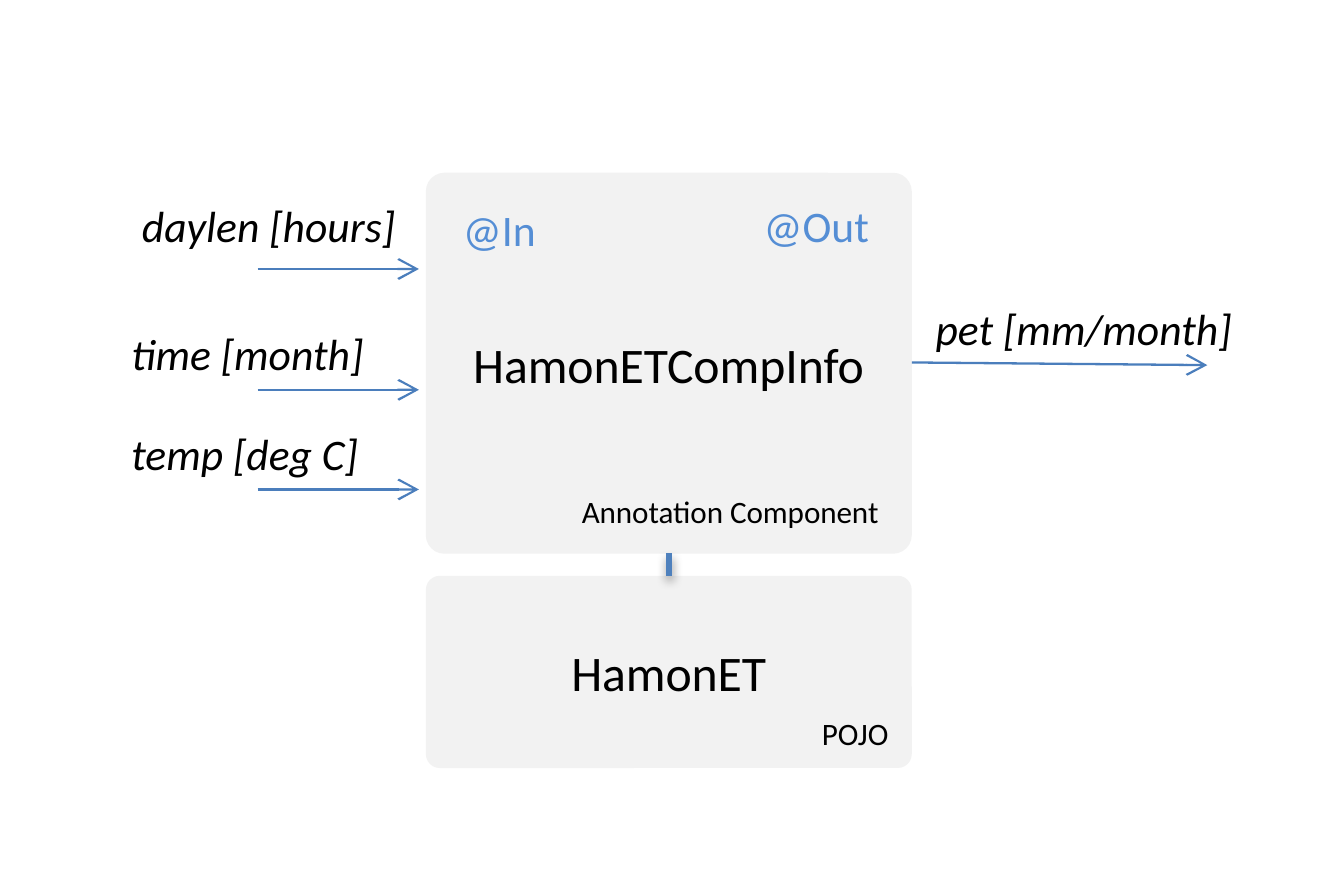
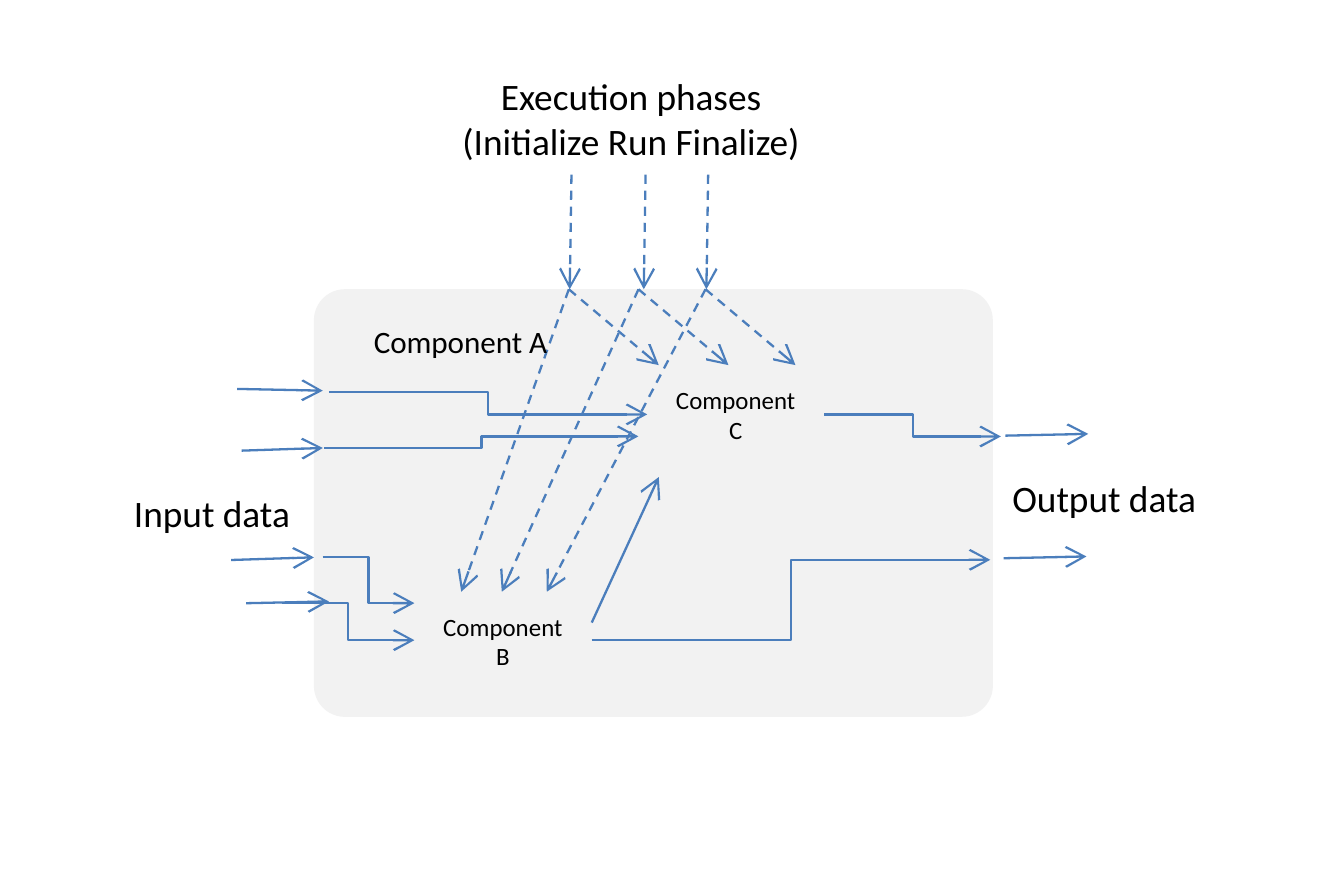
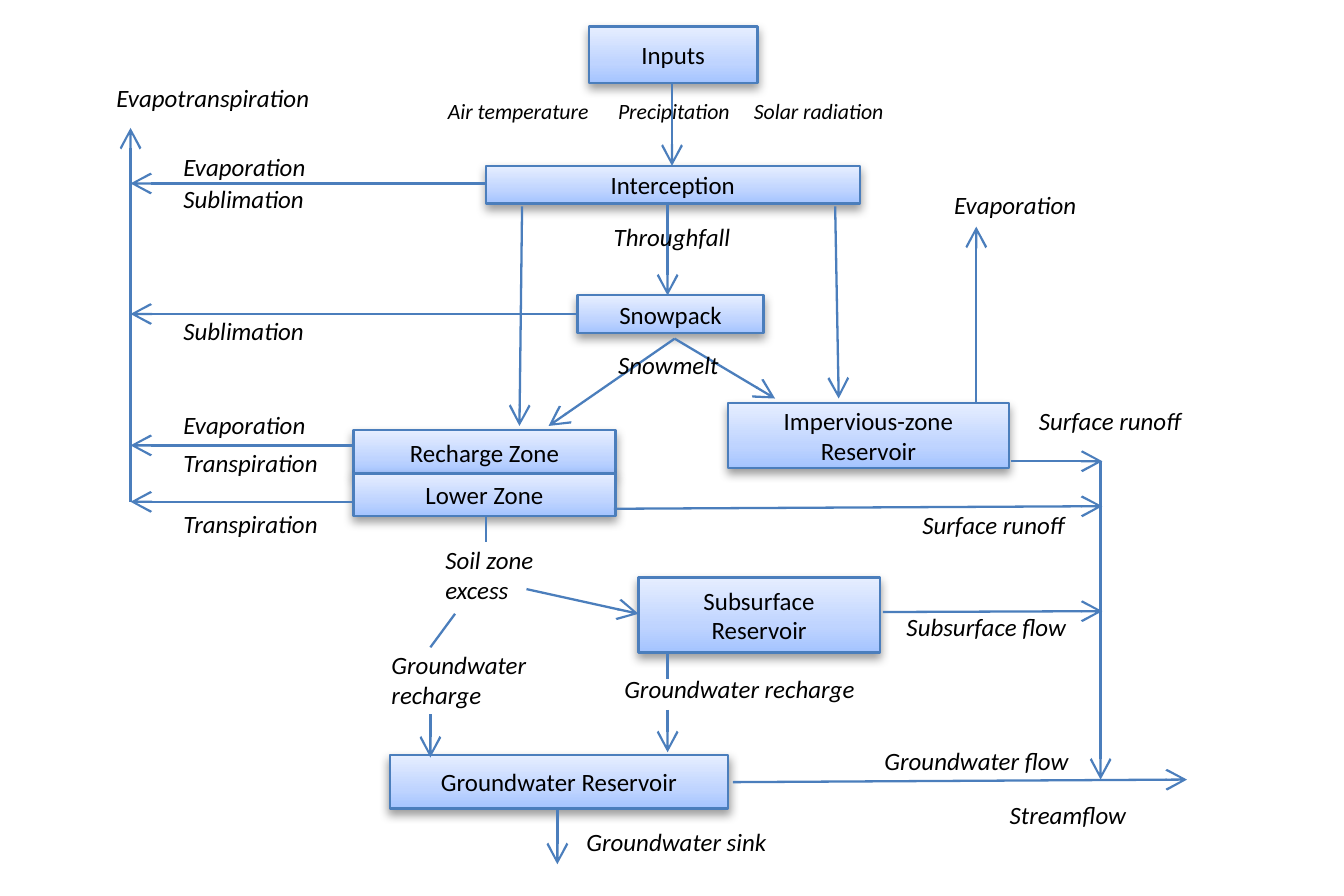
from dataclasses import dataclass

from pptx import Presentation
from pptx.dml.color import RGBColor as Rgb
from pptx.enum.dml import MSO_LINE as Dash
from pptx.enum.shapes import MSO_CONNECTOR as Wire, MSO_SHAPE as Form
from pptx.enum.text import MSO_ANCHOR as Anchor, PP_ALIGN as Align
from pptx.oxml import parse_xml
from pptx.oxml.ns import nsdecls, qn
from pptx.util import Cm, Pt


@dataclass(frozen=True)
class Theme:
    font: str = "Calibri"
    ink: Rgb = Rgb.from_string("000000")
    panel: Rgb = Rgb.from_string("F2F2F2")
    line: Rgb = Rgb.from_string("4B7EBC")
    joint: Rgb = Rgb.from_string("4F81BD")
    mark: Rgb = Rgb.from_string("558ED5")
    shade: tuple = ((0, "A4C4FF"), (35, "BFD4FF"), (100, "E6EEFF"))
    name: int = 16
    port: int = 14
    head: int = 12
    note: int = 10
    text: int = 8
    tiny: int = 7
    thin: float = 0.75
    thick: float = 2


look = Theme()
NS = nsdecls("a")
STOPS = "".join(f'<a:gs pos="{pos * 1000}"><a:srgbClr val="{tint}"/></a:gs>'
                for pos, tint in look.shade)
BLEND = (f'<a:gradFill {NS} rotWithShape="1"><a:gsLst>{STOPS}</a:gsLst>'
         '<a:lin ang="16200000" scaled="0"/></a:gradFill>')
PLAIN = f"<a:effectLst {NS}/>"
SHADOW = (f'<a:effectLst {NS}><a:outerShdw blurRad="39370" dist="20320" '
          'dir="5400000" rotWithShape="0"><a:srgbClr val="000000">'
          '<a:alpha val="38000"/></a:srgbClr></a:outerShdw></a:effectLst>')


def put(page, text, left, top, wide, high=None, size=look.text, form=None,
        bend=0.073, tint=look.ink, lean=False, align=Align.LEFT):
    """Add a label, or a box if a form is given; lengths in cm."""
    if form is None:
        rows = text.count("\n") + 1
        high = 0.25 + 0.043 * size * rows
        wide += 0.05
        item = page.shapes.add_textbox(Cm(left), Cm(top), Cm(wide), Cm(high))
    else:
        item = page.shapes.add_shape(form, Cm(left), Cm(top), Cm(wide), Cm(high))
        align = Align.CENTER
        item.text_frame.vertical_anchor = Anchor.MIDDLE
        if form == Form.ROUNDED_RECTANGLE:
            item.adjustments[0] = bend
            item.fill.solid()
            item.fill.fore_color.rgb = look.panel
            item.line.fill.background()
            item.shadow.inherit = False
        else:
            item.element.spPr.append(parse_xml(BLEND))
            item.line.color.rgb = look.line
            item.line.width = Pt(look.thin)
            item.element.spPr.append(parse_xml(SHADOW))
    frame = item.text_frame
    frame.word_wrap = True
    frame.text = text
    for para in frame.paragraphs:
        para.alignment = align
        font = para.font
        font.name, font.size, font.italic = look.font, Pt(size), lean
        font.color.rgb = tint


def link(page, ax, ay, bx, by, kind=Wire.STRAIGHT, tip=True, dash=False,
         tint=look.line, width=look.thin, glow=PLAIN):
    """Add a line or arrow from a to b; lengths in cm."""
    wire = page.shapes.add_connector(kind, Cm(ax), Cm(ay), Cm(bx), Cm(by))
    wire.line.color.rgb = tint
    wire.line.width = Pt(width)
    if dash:
        wire.line.dash_style = Dash.DASH
    trim = wire.element.spPr
    if tip:
        trim.find(qn("a:ln")).append(parse_xml(f'<a:tailEnd {NS} type="arrow"/>'))
    trim.append(parse_xml(glow))


deck = Presentation()
deck.slide_width, deck.slide_height = Cm(15.24), Cm(10.16)
blank = deck.slide_layouts[6]
ROUND, RECT = Form.ROUNDED_RECTANGLE, Form.RECTANGLE

# Slide 1: component and its plain object
page = deck.slides.add_slide(blank)
put(page, "HamonETCompInfo", 4.83, 1.96, 5.51, 4.32, look.name, ROUND, 0.049)
put(page, "HamonET", 4.83, 6.53, 5.51, 2.18, look.name, ROUND)
link(page, 7.59, 6.53, 7.59, 6.27, tip=False, tint=look.joint,
     width=look.thick, glow=SHADOW)

# Ports
for text, left, top, wide, row in (
        ("daylen [hours]", 1.36, 2.13, 3.41, 3.05),
        ("time [month]", 1.24, 3.58, 3.18, 4.42),
        ("temp [deg C]", 1.24, 4.72, 3.1, 5.55)):
    put(page, text, left, top, wide, size=look.port, lean=True)
    link(page, 2.92, row, 4.75, row)
put(page, "pet [mm/month]", 10.36, 3.3, 3.91, size=look.port, lean=True)
link(page, 10.34, 4.11, 13.69, 4.14)

# Marks inside the boxes
put(page, "@In", 5, 2.18, 1.35, size=look.port, tint=look.mark)
put(page, "@Out", 8.41, 2.13, 1.7, size=look.port, tint=look.mark)
put(page, "POJO", 9.07, 7.98, 1.3, size=look.note)
put(page, "Annotation Component", 5.64, 5.46, 4.52, size=look.note,
    align=Align.RIGHT)

# Slide 2: nested components
page = deck.slides.add_slide(blank)
put(page, "", 3.56, 3.28, 7.7, 4.85, form=ROUND)
put(page, "Component\nC", 7.34, 4.14, 2.01, 1.12, form=ROUND)
put(page, "Component\nB", 4.7, 6.71, 2.01, 1.12, form=ROUND)

# Data flow
for ends in ((2.69, 4.41, 3.66, 4.43), (2.74, 5.11, 3.66, 5.08),
             (2.62, 6.35, 3.56, 6.32), (2.79, 6.84, 3.73, 6.82),
             (11.4, 4.94, 12.34, 4.92), (11.38, 6.33, 12.32, 6.31),
             (6.71, 7.06, 7.47, 5.41)):
    link(page, *ends)
for ends in ((3.73, 4.45, 7.34, 4.7), (3.68, 5.08, 7.24, 4.95),
             (6.71, 7.26, 11.23, 6.35), (9.35, 4.7, 11.35, 4.95),
             (3.2, 6.84, 4.7, 7.26), (3.66, 6.32, 4.7, 6.84)):
    link(page, *ends, kind=Wire.ELBOW)

# Each phase enters A, then fans out to C and B
for start, gate, goal in ((6.48, 6.45, 5.23), (7.32, 7.24, 5.69),
                          (8.03, 8, 6.2)):
    link(page, start, 1.98, start - 0.02, 3.28, dash=True)
    link(page, gate, 3.28, gate + 1.02, 4.14, dash=True)
    link(page, gate, 3.28, goal, 6.71, dash=True)

# Labels
put(page, "Execution phases\n(Initialize Run Finalize)", 4.95, 0.71, 4.37,
    size=look.head, align=Align.CENTER)
put(page, "Input data", 1.27, 5.44, 2.29, size=look.head)
put(page, "Output data", 11.23, 5.26, 2.62, size=look.head)
put(page, "Component A", 3.99, 3.53, 2.51, size=look.note)

# Slide 3: water balance
page = deck.slides.add_slide(blank)
for text, *spot in (
        ("Inputs", 6.68, 0.3, 1.91, 0.64),
        ("Interception", 5.51, 1.88, 4.24, 0.43),
        ("Snowpack", 6.55, 3.35, 2.11, 0.43),
        ("Impervious-zone\nReservoir", 8.26, 4.57, 3.18, 0.74),
        ("Recharge Zone", 4.01, 4.88, 2.97, 0.5),
        ("Lower Zone", 4.01, 5.37, 2.97, 0.48),
        ("Subsurface\nReservoir", 7.24, 6.55, 2.74, 0.85),
        ("Groundwater Reservoir", 4.42, 8.56, 3.84, 0.61)):
    put(page, text, *spot, form=RECT)

# Losses to the air
for left, row in ((5.51, 2.08), (6.55, 3.56), (4.01, 5.05), (4.01, 5.69)):
    link(page, left, row, 1.48, row)
link(page, 1.48, 5.69, 1.48, 1.45)
link(page, 11.07, 4.57, 11.07, 2.57)

# Flows to the stream
for left, low, high in ((11.46, 5.23, 5.23), (6.96, 5.77, 5.74),
                        (10.01, 6.94, 6.93)):
    link(page, left, low, 12.5, high)
link(page, 12.48, 5.23, 12.48, 8.84)
link(page, 8.31, 8.87, 13.46, 8.84)

# Flows between the stores
for ends in ((7.62, 0.94, 7.62, 1.88), (7.57, 2.29, 7.57, 3.35),
             (5.92, 2.34, 5.89, 4.83), (9.47, 2.34, 9.51, 4.52),
             (7.65, 3.84, 6.22, 4.83), (7.65, 3.84, 8.79, 4.52),
             (5.97, 6.68, 7.24, 6.96), (4.88, 8.1, 4.88, 8.59),
             (7.57, 8.05, 7.57, 8.53), (6.32, 9.17, 6.32, 9.8)):
    link(page, *ends)
for ends in ((5.51, 5.84, 5.51, 6.15), (5.16, 6.96, 4.88, 7.34),
             (7.57, 7.39, 7.57, 7.7)):
    link(page, *ends, tip=False)

# Flow labels
for text, top in (("Evaporation", 1.6), ("Sublimation", 1.96),
                  ("Sublimation", 3.45), ("Evaporation", 4.52),
                  ("Transpiration", 4.95), ("Transpiration", 5.64)):
    put(page, text, 1.83, top, 2.06, lean=True)
for text, *spot in (
        ("Evapotranspiration", 1.07, 0.81, 2.97),
        ("Throughfall", 6.71, 2.39, 1.85),
        ("Snowmelt", 6.76, 3.84, 1.78),
        ("Evaporation", 10.57, 2.03, 1.93),
        ("Soil zone\nexcess", 4.8, 6.05, 1.52),
        ("Groundwater\nrecharge", 4.19, 7.24, 2.06),
        ("Groundwater recharge", 6.83, 7.52, 3.76),
        ("Groundwater sink", 6.4, 9.25, 2.77),
        ("Surface runoff", 11.53, 4.47, 2.77),
        ("Surface runoff", 10.21, 5.66, 2.77),
        ("Subsurface flow", 10.03, 6.81, 2.77),
        ("Groundwater flow", 9.78, 8.33, 2.77),
        ("Streamflow", 11.2, 8.94, 2.01)):
    put(page, text, *spot, lean=True)
for text, left, wide in (("Air temperature", 4.83, 2.29),
                         ("Precipitation", 6.76, 1.85),
                         ("Solar radiation", 8.3, 2.15)):
    put(page, text, left, 0.98, wide, size=look.tiny, lean=True)

deck.save("out.pptx")
